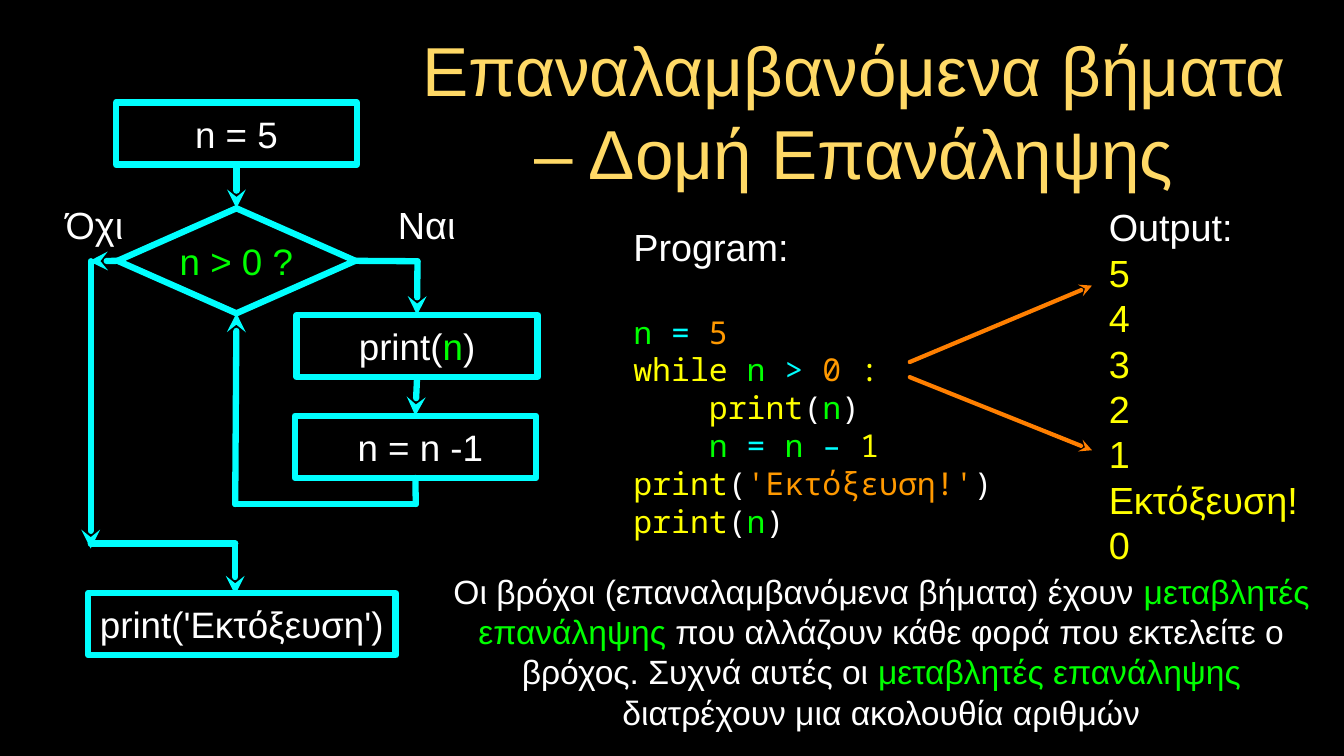
from dataclasses import dataclass

from lxml.etree import SubElement
from pptx import Presentation
from pptx.dml.color import RGBColor
from pptx.enum.shapes import MSO_CONNECTOR, MSO_SHAPE
from pptx.enum.text import MSO_ANCHOR, MSO_AUTO_SIZE, PP_ALIGN
from pptx.oxml.ns import qn
from pptx.util import Inches, Pt


@dataclass(frozen=True)
class Theme:
    """Colours, fonts and type sizes of the slide."""
    black: str = "000000"
    white: str = "FFFFFF"
    gold: str = "FFD966"
    cyan: str = "00FFFF"
    green: str = "00FF00"
    yellow: str = "FFFF00"
    amber: str = "FF9900"
    orange: str = "FF7F00"
    sans: str = "Arial"
    mono: str = "Noto Sans Mono"
    title: int = 66
    label: int = 36
    node: int = 35
    body: int = 32
    code: int = 30


T = Theme()
WIDTH, HEIGHT = Inches(17.78), Inches(10)
COLS, ROWS = 16, 9
TOP, LEFT, BOTTOM, RIGHT = range(4)
NODE_W, NODE_H = 2.87, 0.74


def x(cols):
    """Return the horizontal length of a number of columns."""
    return round(WIDTH * cols / COLS)


def y(rows):
    """Return the vertical length of a number of rows."""
    return round(HEIGHT * rows / ROWS)


def frame(shape, inset=0):
    """Prepare the text frame of a shape and return it."""
    tf = shape.text_frame
    tf.word_wrap = True
    tf.auto_size = MSO_AUTO_SIZE.NONE
    tf.vertical_anchor = MSO_ANCHOR.MIDDLE
    tf.margin_left = tf.margin_right = Inches(inset)
    tf.margin_top = tf.margin_bottom = Inches(inset)
    return tf


def write(tf, *runs, size=T.label, font=T.sans, color=T.white,
          align=PP_ALIGN.LEFT, before=0):
    """Add a paragraph; a run is a string or a (string, colour) pair."""
    p = tf.paragraphs[0]
    if p.runs:
        p = tf.add_paragraph()
    p.alignment = align
    if before:
        p.space_before = Pt(before)
    for run in runs:
        text, rgb = (run, color) if isinstance(run, str) else run
        r = p.add_run()
        r.text = text
        r.font.size = Pt(size)
        r.font.name = font
        r.font.color.rgb = RGBColor.from_string(rgb)


def text_box(s, left, top, width, height):
    """Add an empty text box and return its text frame."""
    return frame(s.shapes.add_textbox(x(left), y(top), x(width), y(height)))


def node(s, left, top, *runs, width=NODE_W, height=NODE_H,
         kind=MSO_SHAPE.RECTANGLE, **fmt):
    """Add an outlined flowchart node with centred text."""
    sp = s.shapes.add_shape(kind, x(left), y(top), x(width), y(height))
    sp.shadow.inherit = False
    sp.fill.background()
    sp.line.color.rgb = RGBColor.from_string(T.cyan)
    sp.line.width = Pt(6)
    write(frame(sp), *runs, size=T.node, align=PP_ALIGN.CENTER, **fmt)
    return sp


def line(s, start, end, arrow=False, color=T.cyan, width=6):
    """Draw a line between ends given as (col, row) or (shape, side)."""
    points = [e if isinstance(e[0], (int, float)) else (0, 0)
              for e in (start, end)]
    (x1, y1), (x2, y2) = points
    c = s.shapes.add_connector(MSO_CONNECTOR.STRAIGHT,
                               x(x1), y(y1), x(x2), y(y2))
    for e, join in ((start, c.begin_connect), (end, c.end_connect)):
        if not isinstance(e[0], (int, float)):
            join(*e)
    c.line.color.rgb = RGBColor.from_string(color)
    c.line.width = Pt(width)
    ln = c.line._get_or_add_ln()
    ln.set("cap", "rnd")
    if arrow:
        SubElement(ln, qn("a:tailEnd"), type="stealth")
    SubElement(c._element.spPr, qn("a:effectLst"))


def add_title(s):
    """Place and format the title placeholder."""
    sp = s.shapes.title
    sp.left, sp.top, sp.width, sp.height = x(4.72), y(0.45), x(10.9), y(1.72)
    write(frame(sp, 0.04), "Επαναλαμβανόμενα βήματα – Δομή Επανάληψης",
          size=T.title, color=T.gold, align=PP_ALIGN.CENTER)


def add_flowchart(s):
    """Draw the loop as a flowchart."""
    start = node(s, 1.38, 1.22, "n = 5")
    test = node(s, 1.4, 2.48, "n > 0 ?", width=2.83, height=1.25,
                kind=MSO_SHAPE.DIAMOND, color=T.green)
    show = node(s, 3.53, 3.75, "print(", ("n", T.green), ")")
    step = node(s, 3.51, 4.95, " n = n -1")
    node(s, 1.05, 7.06, "print('Εκτόξευση')", width=3.66)

    line(s, (start, BOTTOM), (test, TOP), arrow=True)
    line(s, (test, RIGHT), (4.97, 3.11))
    line(s, (4.97, 3.11), (show, TOP), arrow=True)
    line(s, (show, BOTTOM), (step, TOP), arrow=True)
    line(s, (step, BOTTOM), (4.95, 6))
    line(s, (4.95, 6), (2.8, 6))
    line(s, (2.8, 6), (test, BOTTOM), arrow=True)
    line(s, (test, LEFT), (1.06, 3.11), arrow=True)
    line(s, (1.08, 3.11), (1.08, 6.53), arrow=True)
    line(s, (1.08, 6.47), (2.8, 6.47))
    line(s, (2.8, 6.47), (2.8, 7.08), arrow=True)

    for left, width, answer in ((0.77, 0.71, "Όχι"), (4.59, 0.98, "Ναι")):
        write(text_box(s, left, 2.37, width, 0.61), answer,
              align=PP_ALIGN.CENTER)


def add_program(s):
    """Write the program listing with coloured syntax."""
    n, call = ("n", T.green), ("print", T.yellow)
    var, equals = ("n ", T.green), ("= ", T.cyan)
    rows = (
        (var, equals, ("5", T.amber)),
        (("while ", T.yellow), var, ("> ", T.cyan), ("0", T.amber),
         (" :", T.yellow)),
        (("    print", T.yellow), "(", n, ")"),
        ("    ", var, equals, var, ("–", T.cyan), (" 1", T.yellow)),
        (call, "(", ("'Εκτόξευση!'", T.amber), ")"),
        (call, "(", n, ")"),
    )
    tf = text_box(s, 7.54, 2.36, 4.3, 4.36)
    write(tf, "Program:")
    for i, runs in enumerate(rows):
        write(tf, *runs, size=T.code, font=T.mono, before=0 if i else 42)


def add_output(s):
    """List the output and point at it from the loop."""
    tf = text_box(s, 13.2, 2.23, 2.3, 4.72)
    write(tf, "Output:")
    for value in (5, 4, 3, 2, 1, "Εκτόξευση!", 0):
        write(tf, str(value), color=T.yellow)
    for begin, end in ((4.31, 3.4), (4.49, 5.36)):
        line(s, (10.83, begin), (13, end), arrow=True,
             color=T.orange, width=4)


def add_summary(s):
    """Write the closing remark on iteration variables."""
    key = ("μεταβλητές επανάληψης", T.green)
    write(text_box(s, 5.22, 7.17, 10.55, 1.17),
          "Οι βρόχοι (επαναλαμβανόμενα βήματα) έχουν ", key,
          " που αλλάζουν κάθε φορά που εκτελείτε ο βρόχος. Συχνά αυτές οι ",
          key, " διατρέχουν μια ακολουθία αριθμών",
          size=T.body, align=PP_ALIGN.CENTER)


def main():
    """Build the slide and save it."""
    prs = Presentation()
    prs.slide_width, prs.slide_height = WIDTH, HEIGHT
    s = prs.slides.add_slide(prs.slide_layouts[5])
    s.background.fill.solid()
    s.background.fill.fore_color.rgb = RGBColor.from_string(T.black)
    add_title(s)
    add_flowchart(s)
    add_program(s)
    add_output(s)
    add_summary(s)
    prs.save("out.pptx")


if __name__ == "__main__":
    main()
